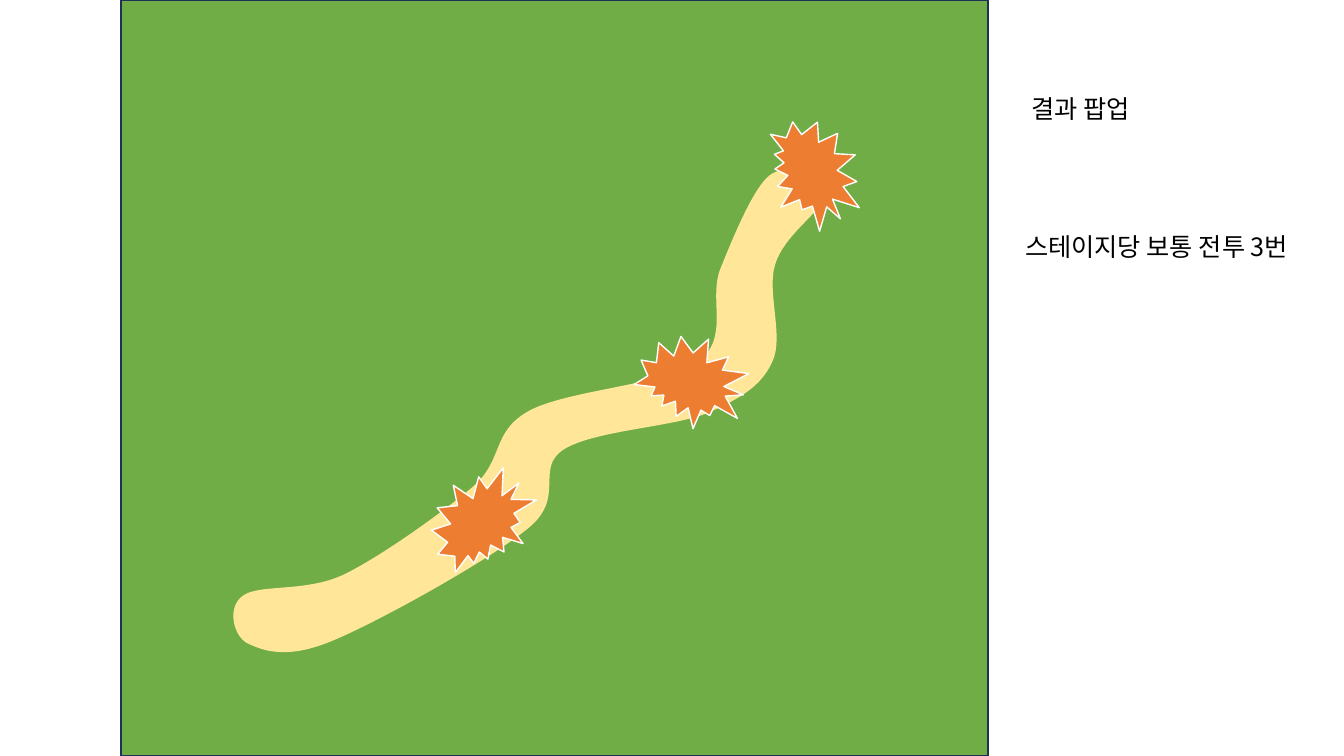
from lxml import etree
from pptx import Presentation
from pptx.dml.color import RGBColor
from pptx.enum.shapes import MSO_SHAPE
from pptx.enum.text import MSO_AUTO_SIZE
from pptx.oxml.ns import qn
from pptx.util import Inches, Pt

RECTANGLE = MSO_SHAPE.RECTANGLE
BURST = MSO_SHAPE.EXPLOSION2
FIT_SHAPE = MSO_AUTO_SIZE.SHAPE_TO_FIT_TEXT

GREEN = RGBColor(0x70, 0xAD, 0x47)
NAVY = RGBColor(0x1E, 0x32, 0x56)
SAND = RGBColor(0xFF, 0xE6, 0x99)
ORANGE = RGBColor(0xED, 0x7D, 0x31)
WHITE = RGBColor(0xFF, 0xFF, 0xFF)
BLACK = RGBColor(0, 0, 0)

TEXT_FORMAT = {"size": Pt(18), "name": "Noto Sans CJK KR"}
BURST_SIZE = 1.04

MAP_BOX = (1.2, 0, 8.6, 7.5)
NOTES_BOX = (10.07, 0.88, 3.13, 1.77)

ROAD_BOX = (1.12, 1.69, 5.87, 4.78)
ROAD_START = (6.84, 1.77)
ROAD_CURVES = [
    ((6.75, 1.73), (6.55, 1.61), (6.4, 1.77)),
    ((6.25, 1.92), (6.06, 2.38), (5.94, 2.68)),
    ((5.83, 2.99), (6.04, 3.36), (5.72, 3.59)),
    ((5.4, 3.82), (4.41, 3.87), (4.04, 4.08)),
    ((3.67, 4.29), (3.8, 4.56), (3.49, 4.83)),
    ((3.18, 5.09), (2.58, 5.52), (2.21, 5.7)),
    ((1.83, 5.88), (1.37, 5.79), (1.21, 5.91)),
    ((1.05, 6.02), (1.11, 6.3), (1.25, 6.38)),
    ((1.4, 6.45), (1.63, 6.55), (2.09, 6.36)),
    ((2.55, 6.17), (3.65, 5.56), (4.04, 5.24)),
    ((4.42, 4.93), (4.1, 4.65), (4.39, 4.46)),
    ((4.69, 4.27), (5.46, 4.24), (5.81, 4.1)),
    ((6.15, 3.95), (6.35, 3.83), (6.46, 3.59)),
    ((6.58, 3.34), (6.4, 2.89), (6.49, 2.62)),
    ((6.57, 2.35), (6.91, 2.12), (6.97, 1.98)),
    ((7.03, 1.83), (6.94, 1.8), ROAD_START),
]
BATTLES = [(3.08, 4.64, 0), (5.16, 3.28, 60), (6.35, 1.22, 105)]
NOTES = [(0.06, 0, 1.3, "결과 팝업"), (0, 1.37, 3.13, "스테이지당 보통 전투 3번")]


def paint(sp, fill, line=None):
    sp.shadow.inherit = False
    sp.fill.solid()
    sp.fill.fore_color.rgb = fill
    if line is None:
        sp.line.fill.background()
    else:
        sp.line.color.rgb = line
        sp.line.width = Pt(1)


def add_command(outline, tag, points):
    command = etree.SubElement(outline, qn(tag))
    for x, y in points:
        etree.SubElement(
            command,
            qn("a:pt"),
            x=str(Inches(x - ROAD_BOX[0])),
            y=str(Inches(y - ROAD_BOX[1])),
        )


def add_road(s, left, top):
    x, y, width, height = ROAD_BOX
    corners = [(x + width, y), (x + width, y + height), (x, y + height)]
    builder = s.shapes.build_freeform(Inches(left + x), Inches(top + y))
    builder.add_line_segments([(Inches(left + a), Inches(top + b)) for a, b in corners])
    sp = builder.convert_to_shape()
    outline = sp._element.find(".//" + qn("a:path"))
    for command in list(outline):
        outline.remove(command)
    add_command(outline, "a:moveTo", [ROAD_START])
    for curve in ROAD_CURVES:
        add_command(outline, "a:cubicBezTo", curve)
    add_command(outline, "a:close", [])
    paint(sp, SAND)


def add_map(s, box):
    left, top = box[:2]
    field = s.shapes.add_shape(RECTANGLE, *map(Inches, box))
    paint(field, GREEN, NAVY)
    add_road(s, left, top)
    for x, y, angle in BATTLES:
        burst = s.shapes.add_shape(
            BURST, Inches(left + x), Inches(top + y), Inches(BURST_SIZE), Inches(BURST_SIZE)
        )
        burst.rotation = angle
        paint(burst, ORANGE, WHITE)


def add_notes(s, box):
    left, top = box[:2]
    for x, y, width, text in NOTES:
        sp = s.shapes.add_textbox(
            Inches(left + x), Inches(top + y), Inches(width), Inches(0.4)
        )
        tf = sp.text_frame
        tf.word_wrap = False
        tf.auto_size = FIT_SHAPE
        r = tf.paragraphs[0].add_run()
        r.text = text
        for name, value in TEXT_FORMAT.items():
            setattr(r.font, name, value)
        r.font.color.rgb = BLACK


def main():
    prs = Presentation()
    prs.slide_width = Inches(13.33)
    prs.slide_height = Inches(7.5)
    s = prs.slides.add_slide(prs.slide_layouts[6])
    add_map(s, MAP_BOX)
    add_notes(s, NOTES_BOX)
    prs.save("out.pptx")


if __name__ == "__main__":
    main()
